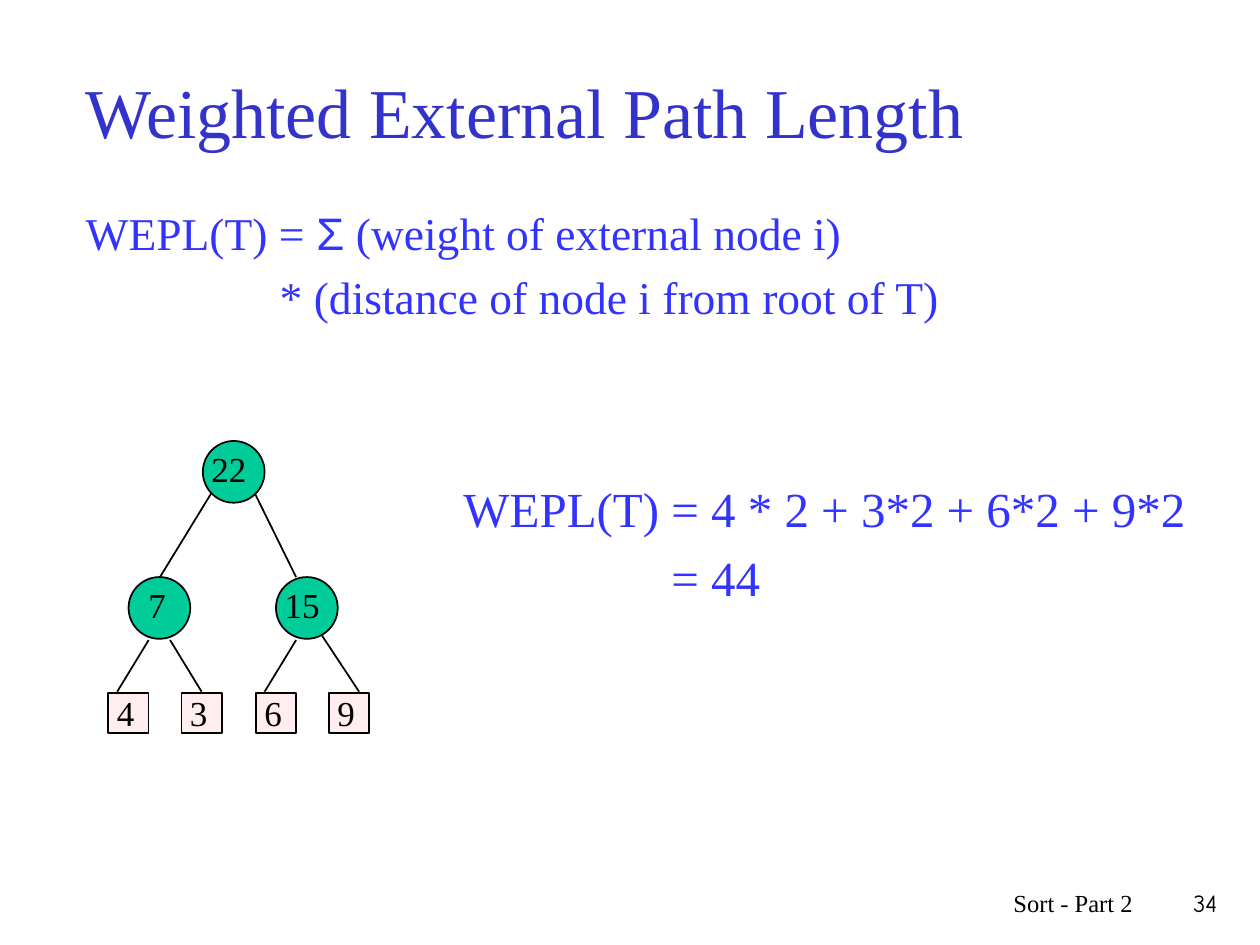
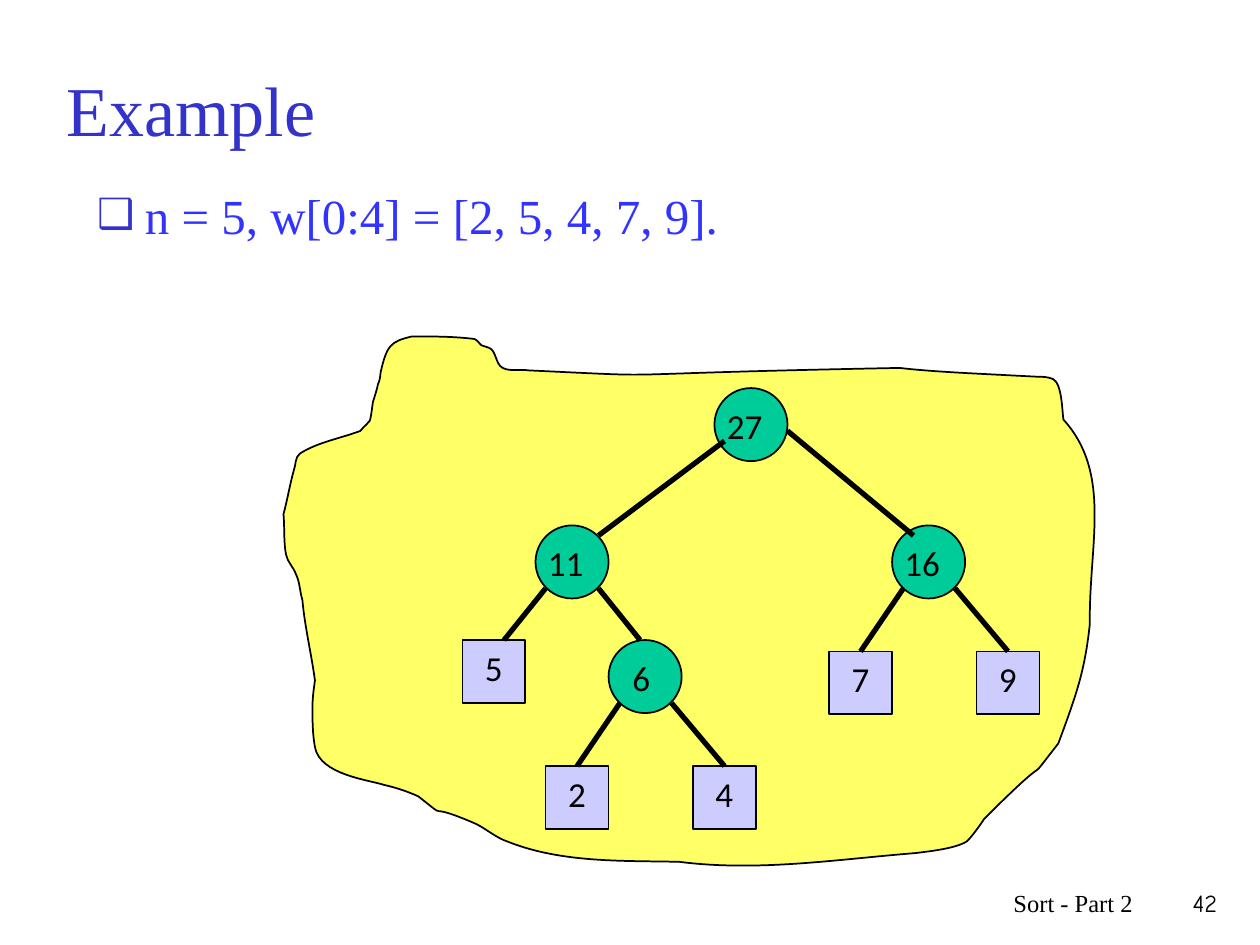
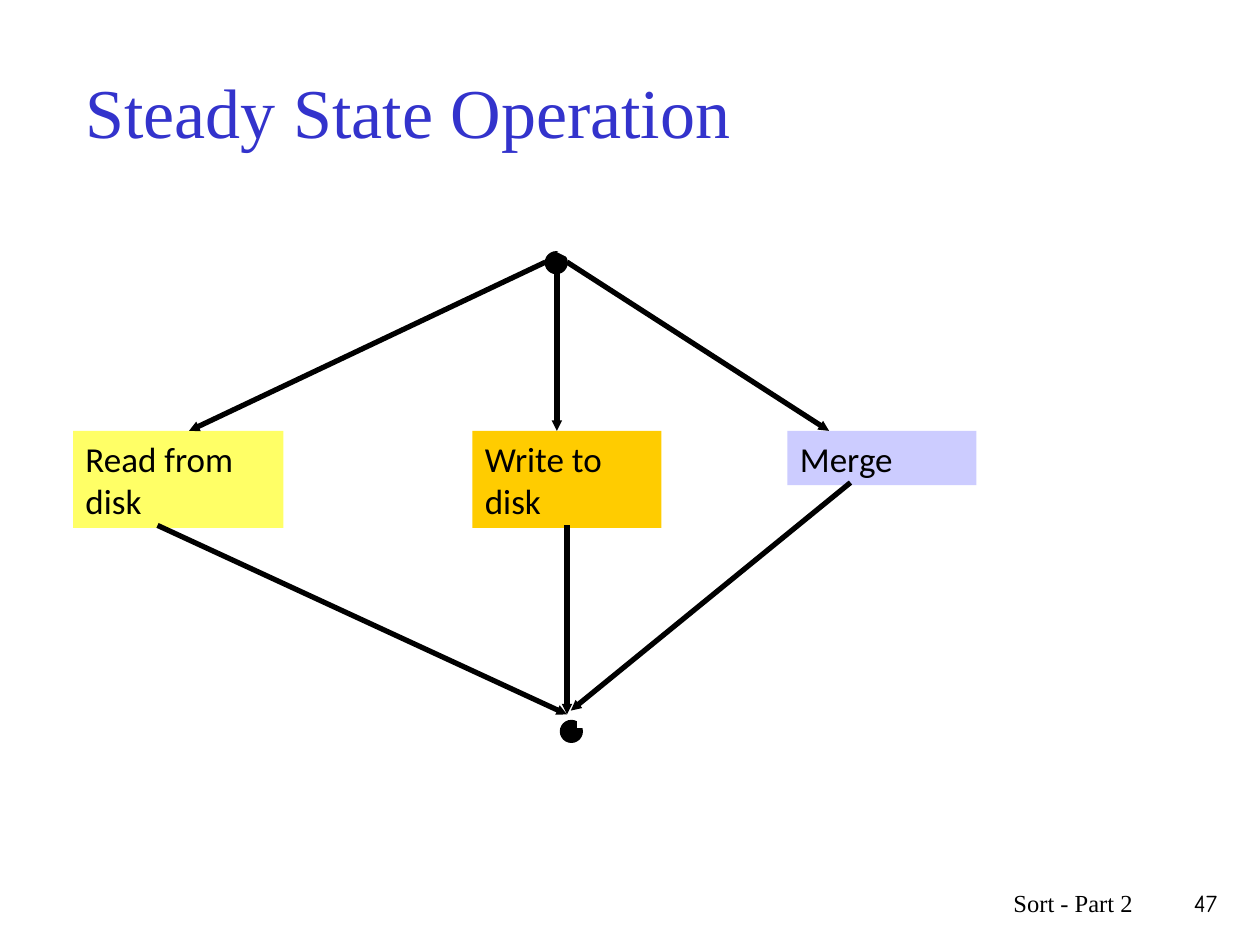
import dataclasses

import pptx
import pptx.dml.color
import pptx.enum.shapes
import pptx.enum.text
import pptx.oxml.ns
import pptx.util
from lxml import etree

PX = 9144
SERIF, SANS, NUMBER_FONT = "Times New Roman", "Calibri", "Comic Neue"
BLACK, WHITE = "000000", "FFFFFF"
TITLE_BLUE, BODY_BLUE = "3333CC", "3333FF"
GREEN, PINK, LILAC, YELLOW, ORANGE = "00CC99", "FFEDF0", "CCCCFF", "FFFF66", "FFCC00"
RECTANGLE = pptx.enum.shapes.MSO_SHAPE.RECTANGLE
OVAL = pptx.enum.shapes.MSO_SHAPE.OVAL
LEFT, RIGHT = pptx.enum.text.PP_ALIGN.LEFT, pptx.enum.text.PP_ALIGN.RIGHT
TOP, MIDDLE = pptx.enum.text.MSO_ANCHOR.TOP, pptx.enum.text.MSO_ANCHOR.MIDDLE
TITLE_BOX = (58, 25, 850, 125)

BLOB_SIZE = (658, 425)
BLOB_START = (61, 75)
BLOB_CURVES = [
    (45, 81, 27, 84, 13, 93), (9, 96, 10, 102, 8, 107), (5, 118, 3, 130, 0, 141),
    (1, 152, 0, 163, 2, 173), (3, 179, 8, 183, 10, 189), (13, 195, 13, 203, 15, 209),
    (17, 231, 22, 251, 25, 273), (24, 280, 23, 287, 23, 294), (23, 305, 23, 315, 25, 326),
    (29, 348, 68, 352, 80, 356), (89, 358, 98, 361, 107, 365), (135, 387, 107, 367, 153, 387),
    (161, 391, 169, 398, 178, 401), (221, 418, 269, 416, 314, 417),
    (377, 425, 439, 415, 502, 410), (509, 409, 532, 407, 542, 401),
    (545, 399, 555, 385, 556, 383), (619, 320, 583, 364, 615, 323),
    (629, 285, 636, 266, 640, 228), (639, 166, 658, 109, 619, 66),
    (618, 60, 618, 38, 611, 34), (607, 32, 602, 32, 598, 32), (579, 31, 559, 30, 540, 29),
    (523, 28, 506, 27, 489, 25), (227, 30, 325, 33, 195, 27), (188, 26, 180, 28, 174, 25),
    (168, 22, 169, 11, 163, 9), (161, 8, 159, 8, 157, 7), (155, 5, 153, 2, 151, 2),
    (135, 0, 119, 0, 102, 0), (85, 4, 82, 7, 77, 29), (77, 32, 76, 36, 75, 38),
    (74, 43, 71, 52, 71, 52), (68, 73, 70, 64, 61, 75),
]


@dataclasses.dataclass
class TreeStyle:
    font: str
    leaf_fill: str
    leaf_size: int
    leaf_label: tuple
    leaf_label_width: int
    circle_size: int
    circle_label: tuple
    edge_width: int
    edges_behind: bool


SMALL_TREE = TreeStyle(SERIF, PINK, 32, (-3, -6), 34, 49, (-3, 0), 1, True)
LARGE_TREE = TreeStyle(SANS, LILAC, 50, (8, 0), 52, 58, (0, 8), 3, False)


def color(value):
    return pptx.dml.color.RGBColor.from_string(value)


def px(*lengths):
    return [length * PX for length in lengths]


def move(shape, box):
    shape.left, shape.top, shape.width, shape.height = px(*box)


def format_para(para, font, size, ink, align=LEFT):
    para.alignment = align
    for span in para.runs:
        span.font.name = font
        span.font.size = pptx.util.Pt(size)
        span.font.color.rgb = color(ink)


def format_frame(frame, anchor=TOP):
    frame.word_wrap = True
    frame.auto_size = pptx.enum.text.MSO_AUTO_SIZE.NONE
    frame.vertical_anchor = anchor


def set_indent(para, margin, hanging, bullet=None):
    props = para._p.get_or_add_pPr()
    props.set("marL", str(margin * PX))
    props.set("indent", str(-hanging * PX))
    namespace = pptx.oxml.ns.nsdecls("a")
    if bullet:
        marks = [f'<a:buClr {namespace}><a:srgbClr val="{TITLE_BLUE}"/></a:buClr>',
                 f'<a:buSzPct {namespace} val="85000"/>',
                 f'<a:buChar {namespace} char="{bullet}"/>']
    else:
        marks = [f"<a:buNone {namespace}/>"]
    for mark in marks:
        props.append(etree.fromstring(mark))


def add_text(page, box, text, font, size, align=LEFT):
    shape = page.shapes.add_textbox(*px(*box))
    format_frame(shape.text_frame)
    shape.text_frame.text = text
    format_para(shape.text_frame.paragraphs[0], font, size, BLACK, align)


def add_shape(page, kind, box, fill, outlined=True):
    shape = page.shapes.add_shape(kind, *px(*box))
    paint(shape, fill, outlined)
    return shape


def paint(shape, fill, outlined=True):
    shape.shadow.inherit = False
    shape.fill.solid()
    shape.fill.fore_color.rgb = color(fill)
    if outlined:
        shape.line.color.rgb = color(BLACK)
        shape.line.width = pptx.util.Pt(1)
    else:
        shape.line.fill.background()


def add_line(page, left, top, ends, width, ink=BLACK, arrow=False):
    x1, y1, x2, y2 = ends
    line = page.shapes.add_connector(
        pptx.enum.shapes.MSO_CONNECTOR.STRAIGHT,
        *px(left + x1, top + y1, left + x2, top + y2))
    line.line.color.rgb = color(ink)
    line.line.width = pptx.util.Pt(width)
    if arrow:
        etree.SubElement(line.line._get_or_add_ln(), pptx.oxml.ns.qn("a:tailEnd"),
                         type="triangle", w="sm", len="sm")
    etree.SubElement(line._element.spPr, pptx.oxml.ns.qn("a:effectLst"))


def add_page(deck, layout, title, number, title_box=TITLE_BOX):
    page = deck.slides.add_slide(deck.slide_layouts.get_by_name(layout))
    shape = page.shapes.title
    move(shape, title_box)
    shape.text_frame.text = title
    format_frame(shape.text_frame, MIDDLE)
    format_para(shape.text_frame.paragraphs[0], SERIF, 40, TITLE_BLUE)
    add_text(page, (908, 700, 68, 50), number, NUMBER_FONT, 14, RIGHT)
    add_text(page, (592, 700, 317, 50), "Sort - Part 2", SERIF, 14, RIGHT)
    return page


def fill_formula(shape, first, second, size, second_margin):
    frame = shape.text_frame
    format_frame(frame)
    frame.text = first + "\n" + second
    for para, margin, hanging in zip(frame.paragraphs, (38, second_margin), (38, 0)):
        para.space_before = pptx.util.Pt(size / 5)
        set_indent(para, margin, hanging)
        format_para(para, SERIF, size, BODY_BLUE)


def split_symbol(para, symbol):
    before, after = para.text.split(symbol)
    para.runs[0].text = before
    for text in (symbol, after):
        para.add_run().text = text
    format_para(para, SERIF, 26, BODY_BLUE)
    para.runs[1].font.name = "Arial"


def draw_edges(page, left, top, style, edges):
    for ends in edges:
        add_line(page, left, top, ends, style.edge_width)


def draw_tree(page, left, top, style, circles, leaves, edges):
    if style.edges_behind:
        draw_edges(page, left, top, style, edges)
    for kind, nodes, size, fill in ((RECTANGLE, leaves, style.leaf_size, style.leaf_fill),
                                    (OVAL, circles, style.circle_size, GREEN)):
        for label, x, y in nodes:
            add_shape(page, kind, (left + x, top + y, size, size), fill)
    if not style.edges_behind:
        draw_edges(page, left, top, style, edges)
    dx, dy = style.leaf_label
    for label, x, y in leaves:
        box = (left + x + dx, top + y + dy, style.leaf_label_width, 43)
        add_text(page, box, label, style.font, 20)
    dx, dy = style.circle_label
    for label, x, y in circles:
        shift = 9 if len(label) == 1 else 0
        box = (left + x + dx + shift, top + y + dy, 58 - 2 * shift, 43)
        add_text(page, box, label, style.font, 20)


def draw_blob(page, left, top):
    builder = page.shapes.build_freeform(*BLOB_START, scale=PX)
    builder.add_line_segments([curve[4:] for curve in BLOB_CURVES], close=True)
    blob = builder.convert_to_shape(*px(left, top))
    move(blob, (left, top, *BLOB_SIZE))
    outline = next(blob._element.iter(pptx.oxml.ns.qn("a:path")))
    for name, length in zip(("w", "h"), BLOB_SIZE):
        outline.set(name, str(length))
    segments = outline.findall(pptx.oxml.ns.qn("a:lnTo"))
    for segment, curve in zip(segments, BLOB_CURVES):
        bend = etree.Element(pptx.oxml.ns.qn("a:cubicBezTo"))
        for x, y in zip(curve[::2], curve[1::2]):
            etree.SubElement(bend, pptx.oxml.ns.qn("a:pt"), x=str(x), y=str(y))
        outline.replace(segment, bend)
    paint(blob, YELLOW)


def draw_flow(page, left, top):
    steps = [("Read from disk", 0, 167, 77, YELLOW),
             ("Write to disk", 317, 150, 77, ORANGE),
             ("Merge", 567, 150, 43, LILAC)]
    for text, x, width, height, fill in steps:
        shape = add_shape(page, RECTANGLE, (left + x, top + 142, width, height), fill, False)
        format_frame(shape.text_frame)
        shape.text_frame.text = text
        format_para(shape.text_frame.paragraphs[0], SANS, 20, BLACK)
    for x, y in ((375, 0), (387, 372)):
        add_shape(page, OVAL, (left + x, top + y, 17, 17), BLACK)
    for ends in ((67, 217, 392, 367), (617, 183, 395, 364), (392, 217, 392, 367),
                 (375, 8, 92, 142), (384, 17, 384, 142), (392, 8, 600, 142)):
        add_line(page, left, top, ends, 3, arrow=True)
    for ends in ((400, 375, 875, 375), (867, 375, 867, 0), (867, 0, 384, 0)):
        add_line(page, left, top, ends, 4.5, WHITE, arrow=True)


def build_path_length(deck):
    page = add_page(deck, "Title and Content", "Weighted External Path Length", "34")
    body = page.placeholders[1]
    move(body, (58, 158, 850, 125))
    fill_formula(body, "WEPL(T) = Σ (weight of external node i)",
                 "* (distance of node i from root of T)", 26, 154)
    split_symbol(body.text_frame.paragraphs[0], "Σ")
    result = page.shapes.add_textbox(*px(358, 375, 608, 217))
    fill_formula(result, "WEPL(T) = 4 * 2 + 3*2 + 6*2 + 9*2", "= 44", 28, 165)
    draw_tree(page, 86, 350, SMALL_TREE,
              [("22", 75, 0), ("7", 16, 108), ("15", 133, 108)],
              [("4", 0, 200), ("3", 58, 200), ("6", 117, 200), ("9", 175, 200)],
              [(82, 41, 41, 108), (116, 41, 149, 108), (32, 158, 7, 199),
               (49, 158, 74, 199), (149, 158, 124, 199), (166, 149, 199, 199)])


def build_example(deck):
    page = add_page(deck, "Title and Content", "Example", "42", (43, 28, 850, 117))
    body = page.placeholders[1]
    move(body, (67, 142, 850, 67))
    format_frame(body.text_frame)
    body.text_frame.text = "n = 5, w[0:4] = [2, 5, 4, 7, 9]."
    para = body.text_frame.paragraphs[0]
    set_indent(para, 38, 38, "❑")
    format_para(para, SERIF, 28, BODY_BLUE)
    draw_blob(page, 225, 267)
    draw_tree(page, 367, 308, LARGE_TREE,
              [("27", 200, 0), ("11", 58, 109), ("16", 341, 109), ("6", 116, 200)],
              [("5", 0, 200), ("2", 66, 300), ("4", 183, 300), ("7", 291, 209),
               ("9", 408, 209)],
              [(208, 42, 108, 117), (258, 34, 358, 117), (66, 159, 33, 200),
               (108, 159, 141, 200), (350, 159, 316, 209), (391, 159, 433, 209),
               (125, 250, 91, 300), (166, 250, 208, 300)])


def build_steady_state(deck):
    page = add_page(deck, "Title Only", "Steady State Operation", "47")
    draw_flow(page, 58, 200)


def main():
    deck = pptx.Presentation()
    deck.slide_width, deck.slide_height = px(1000, 750)
    build_path_length(deck)
    build_example(deck)
    build_steady_state(deck)
    deck.save("out.pptx")


if __name__ == "__main__":
    main()
